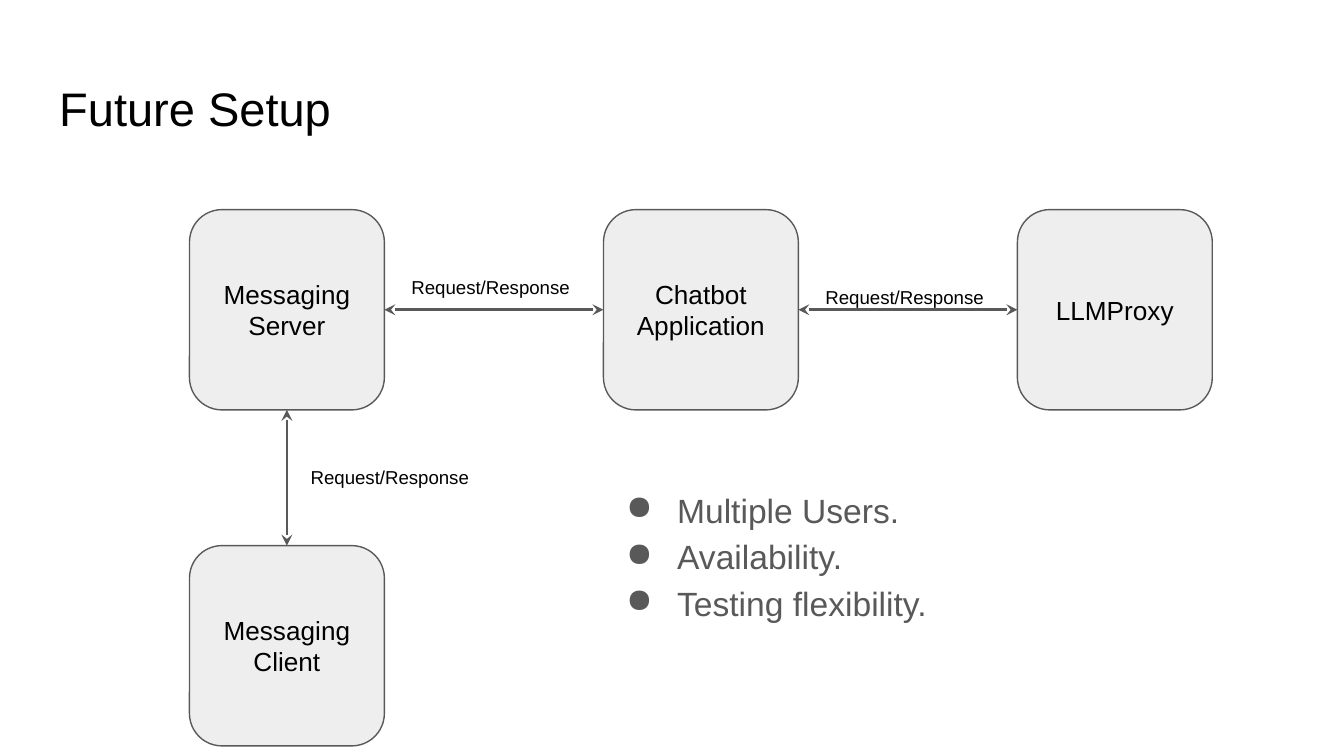
from lxml import etree
from pptx import Presentation
from pptx import util as u
from pptx.dml.color import RGBColor
from pptx.enum import shapes, text
from pptx.oxml import ns

BLACK = RGBColor(0, 0, 0)
GREY = RGBColor(0x59, 0x59, 0x59)
PALE = RGBColor(0xEE, 0xEE, 0xEE)
WHITE = RGBColor(0xFF, 0xFF, 0xFF)

CELL = 0.1
COLUMNS, ROWS = 100, 56.25
NODE_WIDTH, NODE_HEIGHT = 14.5, 14.9
NODE_LEFT, NODE_TOP = 14.1, 15.6
COLUMN_STEP, ROW_STEP = 30.8, 25
TOP, LEFT, BOTTOM, RIGHT = range(4)


def cells(count):
    return u.Inches(count * CELL)


class Diagram:
    font = "Arial"

    def __init__(self, deck):
        self.page = deck.slides.add_slide(deck.slide_layouts[5])
        self.page.background.fill.solid()
        self.page.background.fill.fore_color.rgb = WHITE

    def set_text(self, shape, lines, size, color=BLACK,
                 align=text.PP_ALIGN.CENTER, anchor=text.MSO_ANCHOR.TOP, bullet=None):
        frame = shape.text_frame
        frame.word_wrap = True
        frame.auto_size = text.MSO_AUTO_SIZE.NONE
        frame.vertical_anchor = anchor
        frame.margin_left = frame.margin_right = cells(1)
        frame.margin_top = frame.margin_bottom = cells(1)
        frame.text = "\n".join(lines)
        for para in frame.paragraphs:
            if bullet:
                self.add_bullet(para, bullet, color)
            para.alignment = align
            para.font.name = self.font
            para.font.size = u.Pt(size)
            para.font.color.rgb = color

    def add_bullet(self, para, symbol, color):
        properties = para._p.get_or_add_pPr()
        properties.set("marL", str(u.Inches(0.5)))
        properties.set("indent", str(u.Inches(-0.38)))
        bullet_color = etree.SubElement(properties, ns.qn("a:buClr"))
        etree.SubElement(bullet_color, ns.qn("a:srgbClr"), val=str(color))
        etree.SubElement(properties, ns.qn("a:buChar"), char=symbol)
        para.line_spacing = 1.15

    def title(self, words, left, top, width, height):
        title = self.page.shapes.title
        title.left, title.top = cells(left), cells(top)
        title.width, title.height = cells(width), cells(height)
        self.set_text(title, [words], 25.2, align=text.PP_ALIGN.LEFT)

    def node(self, column, row, *lines):
        box = self.page.shapes.add_shape(
            shapes.MSO_SHAPE.ROUNDED_RECTANGLE,
            cells(NODE_LEFT + column * COLUMN_STEP), cells(NODE_TOP + row * ROW_STEP),
            cells(NODE_WIDTH), cells(NODE_HEIGHT))
        box.shadow.inherit = False
        box.fill.solid()
        box.fill.fore_color.rgb = PALE
        box.line.color.rgb = GREY
        box.line.width = u.Pt(0.75)
        self.set_text(box, lines, 14, anchor=text.MSO_ANCHOR.MIDDLE)
        return box

    def textbox(self, left, top, width, height, lines, size, **style):
        box = self.page.shapes.add_textbox(
            cells(left), cells(top), cells(width), cells(height))
        self.set_text(box, lines, size, **style)

    def label(self, left, top):
        self.textbox(left, top, 15.8, 3, ["Request/Response"], 10)

    def link(self, start, start_side, end, end_side, width):
        line = self.page.shapes.add_connector(shapes.MSO_CONNECTOR.STRAIGHT, 0, 0, 0, 0)
        line.begin_connect(start, start_side)
        line.end_connect(end, end_side)
        line.line.color.rgb = GREY
        line.line.width = u.Pt(width)
        properties = line._element.spPr
        outline = properties.find(ns.qn("a:ln"))
        for tag in ("a:headEnd", "a:tailEnd"):
            etree.SubElement(outline, ns.qn(tag), type="stealth")
        etree.SubElement(properties, ns.qn("a:effectLst"))


def main():
    deck = Presentation()
    deck.slide_width, deck.slide_height = cells(COLUMNS), cells(ROWS)
    diagram = Diagram(deck)
    diagram.title("Future Setup", 3.4, 4.9, 93.2, 6.3)

    server = diagram.node(0, 0, "Messaging", "Server")
    chatbot = diagram.node(1, 0, "Chatbot", "Application")
    proxy = diagram.node(2, 0, "LLMProxy")
    client = diagram.node(0, 1, "Messaging", "Client")

    diagram.link(server, RIGHT, chatbot, LEFT, 1.5)
    diagram.link(chatbot, RIGHT, proxy, LEFT, 1.5)
    diagram.textbox(44.4, 35, 55.8, 17.5,
                    ["Multiple Users.", "Availability.", "Testing flexibility."],
                    18, color=GREY, align=text.PP_ALIGN.LEFT, bullet="●")
    for left, top in ((28.6, 19.5), (59.4, 20.3), (21.1, 33.7)):
        diagram.label(left, top)
    diagram.link(server, BOTTOM, client, TOP, 0.75)

    deck.save("out.pptx")


if __name__ == "__main__":
    main()
